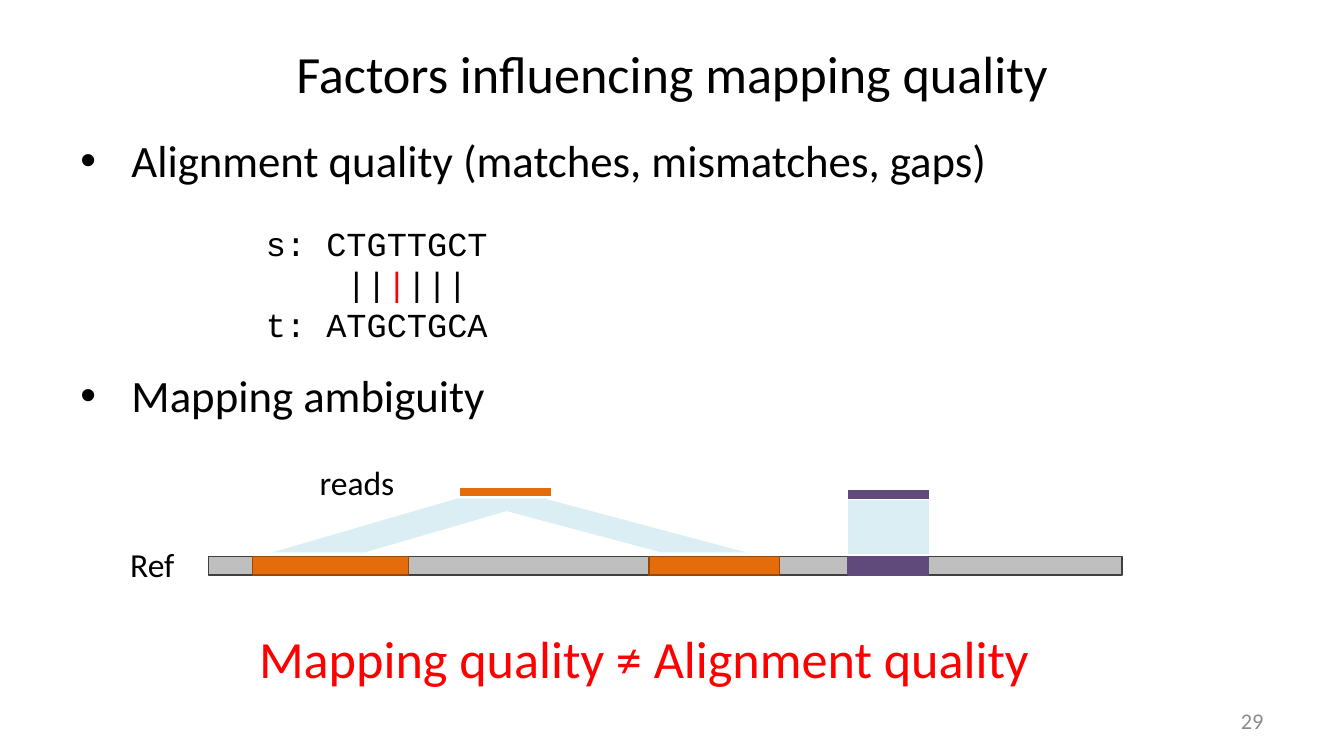
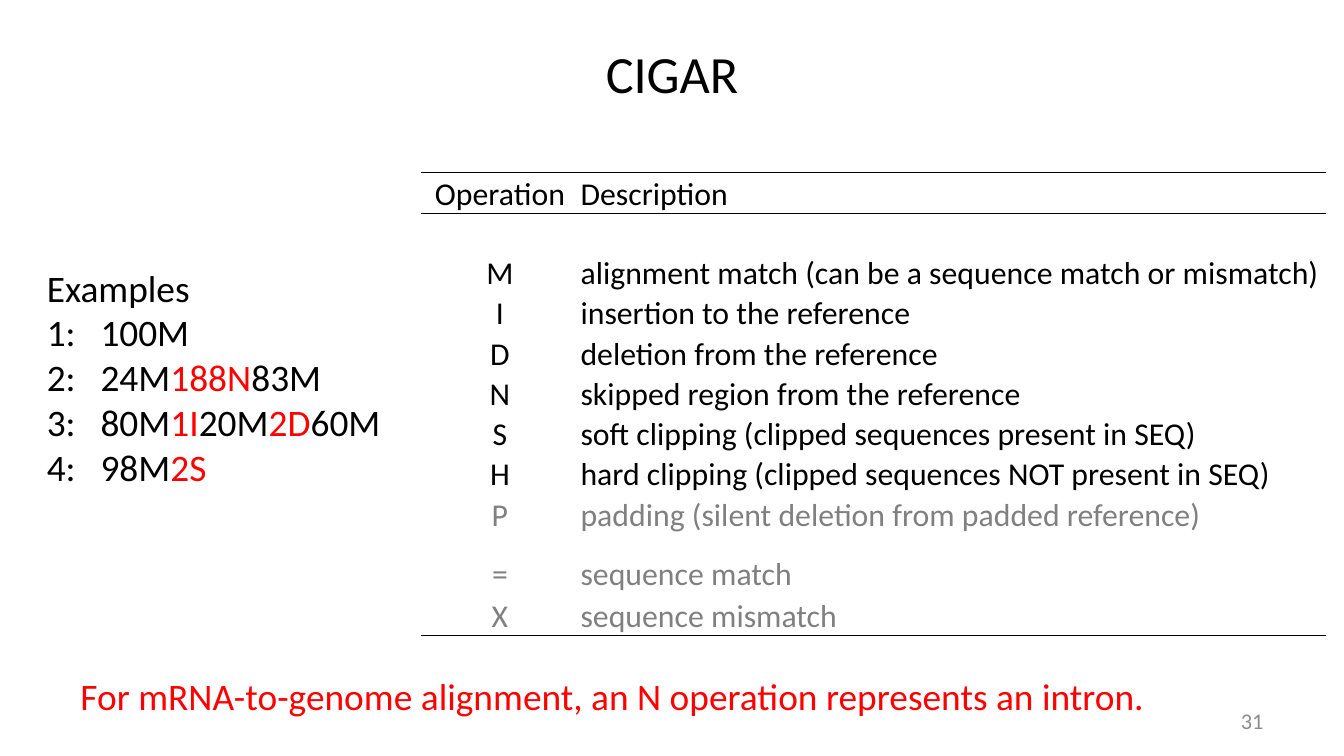
from lxml import etree
from pptx import Presentation
from pptx import util as u
from pptx.dml.color import RGBColor
from pptx.enum import shapes, text
from pptx.oxml import ns

COLORS = {
    "black": "000000", "red": "FF0000", "number": "8C8C8C", "muted": "808080",
    "reference": "BFBFBF", "reference_edge": "404040",
    "repeat": "E46C0A", "repeat_edge": "984807",
    "unique": "604A7B", "projection": "DBEEF4",
}
PLAIN_TABLE = "{2D5ABB26-0587-4C30-8999-92F81FD0307C}"
LEFT, CENTER, RIGHT = text.PP_ALIGN.LEFT, text.PP_ALIGN.CENTER, text.PP_ALIGN.RIGHT
TOP, MIDDLE = text.MSO_ANCHOR.TOP, text.MSO_ANCHOR.MIDDLE
RECTANGLE = shapes.MSO_SHAPE.RECTANGLE
PARALLELOGRAM = shapes.MSO_SHAPE.PARALLELOGRAM


def rgb(name):
    return RGBColor.from_string(COLORS[name])


def inches(values):
    return [u.Inches(value) for value in values]


def add_xml(parent, tag, **attributes):
    return etree.SubElement(parent, ns.qn(tag), attributes)


class SlideWriter:
    def __init__(self, deck):
        self.deck = deck
        self.slide = None

    def start(self, title, number):
        self.slide = self.deck.slides.add_slide(self.deck.slide_layouts[6])
        self.text((0.5, 0.23, 9, 0.62), [title], 28, align=CENTER, anchor=MIDDLE)
        self.text((7.17, 5.21, 2.33, 0.31), [number], 12, "number", align=RIGHT, anchor=MIDDLE)

    def fill_paragraph(self, para, marked, size, color="black", font="Calibri", align=LEFT):
        """Write one paragraph; parts between asterisks turn red."""
        para.alignment = align
        para.font.name = font
        para.font.size = u.Pt(size)
        para.font.color.rgb = rgb(color)
        for index, part in enumerate(marked.split("*")):
            if part:
                span = para.add_run()
                span.text = part
                if index % 2:
                    span.font.color.rgb = rgb("red")

    def text(self, place, lines, size, color="black", font="Calibri", align=LEFT,
             anchor=TOP, wrap=True, bullet=False, tab=None):
        box = self.slide.shapes.add_textbox(*inches(place))
        frame = box.text_frame
        frame.word_wrap = wrap
        frame.vertical_anchor = anchor
        if not wrap:
            frame.auto_size = text.MSO_AUTO_SIZE.SHAPE_TO_FIT_TEXT
        for index, line in enumerate(lines):
            para = frame.add_paragraph() if index else frame.paragraphs[0]
            props = para._p.get_or_add_pPr()
            if bullet:
                props.set("marL", str(u.Inches(0.38)))
                props.set("indent", str(-u.Inches(0.38)))
                add_xml(props, "a:buFont", typeface="Arial")
                add_xml(props, "a:buChar", char="•")
            if tab:
                stops = add_xml(props, "a:tabLst")
                add_xml(stops, "a:tab", pos=str(u.Inches(tab)), algn="l")
            self.fill_paragraph(para, line, size, color, font, align)

    def shape(self, kind, place, fill, edge=None, slant=None, mirrored=False):
        shape = self.slide.shapes.add_shape(kind, *inches(place))
        shape.shadow.inherit = False
        shape.fill.solid()
        shape.fill.fore_color.rgb = rgb(fill)
        if edge:
            shape.line.color.rgb = rgb(edge)
            shape.line.width = u.Pt(0.75)
        else:
            shape.line.fill.background()
        if slant is not None:
            shape.adjustments[0] = slant
        if mirrored:
            shape.element.spPr.xfrm.set("flipH", "1")

    def read(self, left, right, y, color):
        """Draw a sequencing read as a thick horizontal line."""
        line = self.slide.shapes.add_connector(
            shapes.MSO_CONNECTOR.STRAIGHT, *inches((left, y, right, y)))
        line.line.color.rgb = rgb(color)
        line.line.width = u.Pt(4.5)
        add_xml(line.element.spPr, "a:effectLst")

    def borders(self, cell, widths):
        """Rule the sides named in widths and clear the others."""
        props = cell._tc.get_or_add_tcPr()
        for side in "LRTB":
            if side in widths:
                edge = add_xml(props, f"a:ln{side}", w=str(u.Pt(widths[side])))
                add_xml(add_xml(edge, "a:solidFill"), "a:srgbClr", val=COLORS["black"])
            else:
                add_xml(add_xml(props, f"a:ln{side}"), "a:noFill")

    def table(self, place, rows, widths, heights, size, muted):
        """Draw a table ruled above and below its header and at its foot."""
        frame = self.slide.shapes.add_table(len(rows), len(widths), *inches(place))
        table = frame.table
        table.first_row = table.horz_banding = False
        table._tbl.tblPr.find(ns.qn("a:tableStyleId")).text = PLAIN_TABLE
        for column, width in zip(table.columns, inches(widths)):
            column.width = width
        for row, height in zip(table.rows, inches(heights)):
            row.height = height
        rules = {0: {"T": 0.5, "B": 1}, 1: {"T": 1}, len(rows) - 1: {"B": 1}}
        for r, row in enumerate(rows):
            color = "muted" if row[0] in muted else "black"
            for c, words in enumerate(row):
                cell = table.cell(r, c)
                cell.margin_left = cell.margin_right = cell.margin_top = u.Inches(0.01)
                cell.margin_bottom = 0
                cell.vertical_anchor = text.MSO_ANCHOR.BOTTOM
                self.borders(cell, rules.get(r, {}))
                cell.fill.background()
                self.fill_paragraph(cell.text_frame.paragraphs[0], words, size, color,
                                    align=LEFT if c else CENTER)


def draw_mapping_quality(writer):
    writer.start("Factors influencing mapping quality", "29")
    writer.text((0.5, 0.94, 9, 0.74), ["Alignment quality (matches, mismatches, gaps)"],
                24, bullet=True)
    writer.text((1.88, 1.61, 1.87, 1.01), ["s: CTGTTGCT", "    ||*|*|||", "t: ATGCTGCA"],
                18, font="Courier New", wrap=False)

    regions = [(1.55, 6.8, "reference", "reference_edge"),
               (1.88, 1.16, "repeat", "repeat_edge"),
               (4.83, 0.97, "repeat", "repeat_edge"),
               (6.31, 0.6, "unique", "unique")]
    for left, width, fill, edge in regions:
        writer.shape(RECTANGLE, (left, 4.14, width, 0.14), fill, edge)
    writer.read(6.31, 6.91, 3.68, "unique")
    writer.read(3.42, 4.1, 3.66, "repeat")
    writer.shape(PARALLELOGRAM, (2.03, 3.71, 2.06, 0.4), "projection", slant=3.43)
    writer.shape(PARALLELOGRAM, (3.42, 3.71, 2.13, 0.4), "projection", slant=3.75, mirrored=True)
    writer.shape(PARALLELOGRAM, (6.31, 3.72, 0.6, 0.4), "projection", slant=0, mirrored=True)
    writer.text((2.28, 3.39, 0.77, 0.4), ["reads"], 18, wrap=False)
    writer.text((0.87, 4, 0.55, 0.4), ["Ref"], 18, wrap=False)
    writer.text((1.83, 4.61, 6, 0.57), ["Mapping quality ≠ Alignment quality"],
                28, "red", wrap=False)
    writer.text((0.5, 2.69, 4.41, 0.57), ["Mapping ambiguity"], 24, bullet=True)


def draw_cigar(writer):
    writer.start("CIGAR", "31")
    operations = [
        ("Operation", "Description"),
        ("M", "alignment match (can be a sequence match or mismatch)"),
        ("I", "insertion to the reference"),
        ("D", "deletion from the reference"),
        ("N", "skipped region from the reference"),
        ("S", "soft clipping (clipped sequences present in SEQ)"),
        ("H", "hard clipping (clipped sequences NOT present in SEQ)"),
        ("P", "padding (silent deletion from padded reference)"),
        ("=", "sequence match"),
        ("X", "sequence mismatch"),
    ]
    writer.table((3.13, 1.28, 6.74, 3.46), operations, (1.18, 5.56),
                 [0.31, 0.59] + [0.3] * 6 + [0.44, 0.31], 17, muted="P=X")
    writer.text((0.5, 4.96, 8.42, 0.44),
                ["For mRNA-to-genome alignment, an N operation represents an intron."], 20, "red")
    examples = ["100M", "24M*188N*83M", "80M*1I*20M*2D*60M", "98M*2S*"]
    numbered = [f"{number}:\t{cigar}" for number, cigar in enumerate(examples, 1)]
    writer.text((0.25, 1.92, 2.77, 1.78), ["Examples"] + numbered, 20, wrap=False, tab=0.4)


def main():
    deck = Presentation()
    deck.slide_width = u.Inches(10)
    deck.slide_height = deck.slide_width * 9 // 16
    writer = SlideWriter(deck)
    draw_mapping_quality(writer)
    draw_cigar(writer)
    deck.save("out.pptx")


if __name__ == "__main__":
    main()
